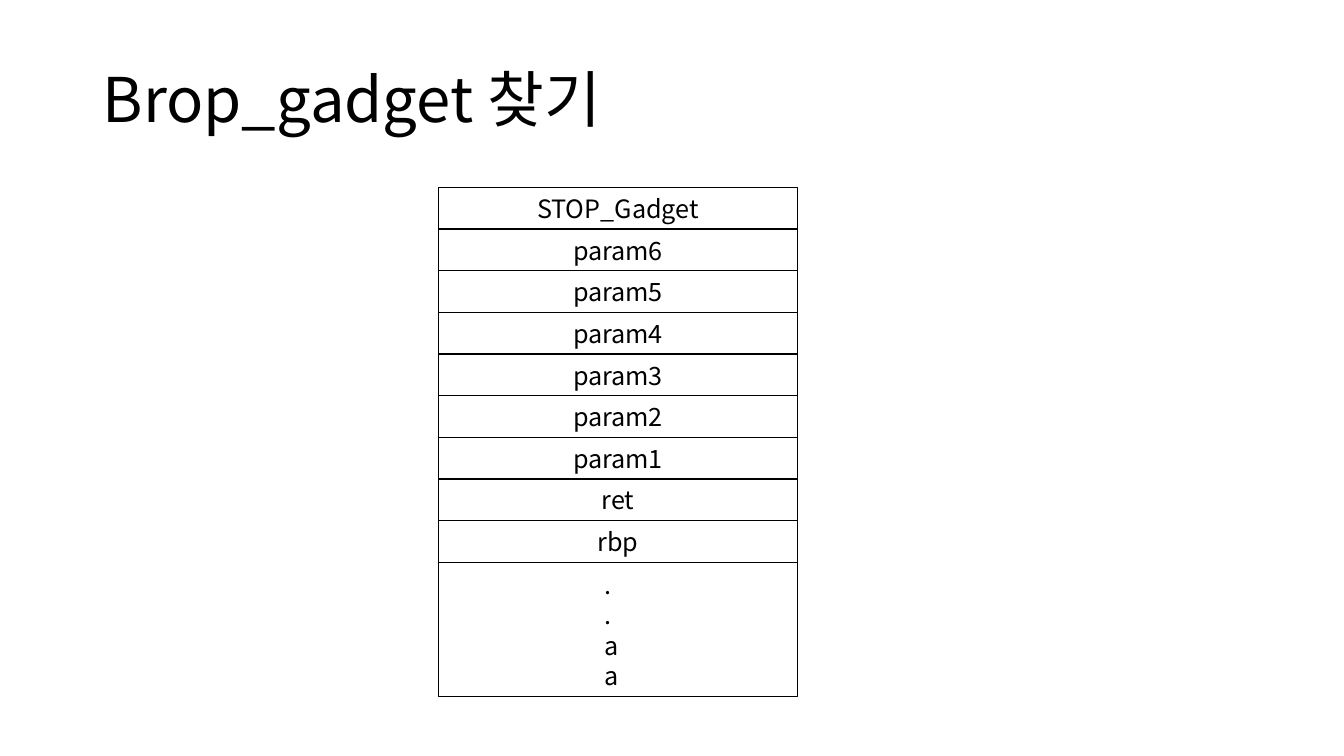
from dataclasses import dataclass

from lxml import etree
from pptx import Presentation
from pptx.dml.color import RGBColor
from pptx.enum.shapes import MSO_SHAPE
from pptx.enum.text import MSO_ANCHOR, PP_ALIGN
from pptx.oxml.ns import qn
from pptx.shapes.autoshape import Shape
from pptx.slide import Slide
from pptx.util import Inches, Pt

RECT = MSO_SHAPE.RECTANGLE
MIDDLE, TOP = MSO_ANCHOR.MIDDLE, MSO_ANCHOR.TOP
LEFT, CENTER = PP_ALIGN.LEFT, PP_ALIGN.CENTER
FONT = "Noto Sans CJK KR"
BLACK = "000000"

STACK_X, STACK_Y, STACK_W = 4.35, 1.86, 3.56
FILL_Y, FILL_H = 5.58, 1.33
LABELS = ["STOP_Gadget", *(f"param{n}" for n in range(6, 0, -1)), "ret", "rbp"]
ROW_H = (FILL_Y - STACK_Y) / len(LABELS)


@dataclass
class Cell:
    label: str
    top: float
    height: float


def color(code: str) -> RGBColor:
    return RGBColor.from_string(code)


def write(shape: Shape, lines: list[str], size: float, align: PP_ALIGN,
          anchor: MSO_ANCHOR, spacing: float = 1.0) -> None:
    frame = shape.text_frame
    frame.word_wrap = True
    frame.vertical_anchor = anchor
    for index, line in enumerate(lines):
        para = frame.add_paragraph() if index else frame.paragraphs[0]
        para.alignment = align
        para.line_spacing = spacing
        run = para.add_run()
        run.text = line
        run.font.size = Pt(size)
        run.font.color.rgb = color(BLACK)
        run.font.name = FONT
        asian = etree.SubElement(run._r.get_or_add_rPr(), qn("a:ea"))
        asian.set("typeface", FONT)


def add_text(slide: Slide, x: float, y: float, w: float, h: float) -> Shape:
    return slide.shapes.add_textbox(Inches(x), Inches(y), Inches(w), Inches(h))


def add_cell(slide: Slide, cell: Cell) -> None:
    box = slide.shapes.add_shape(RECT, Inches(STACK_X), Inches(cell.top),
                                 Inches(STACK_W), Inches(cell.height))
    box.shadow.inherit = False
    box.fill.background()
    box.line.color.rgb = color(BLACK)
    box.line.width = Pt(1)
    if cell.label:
        write(box, [cell.label], 18, CENTER, MIDDLE)


def main() -> None:
    deck = Presentation()
    deck.slide_width, deck.slide_height = Inches(13.33), Inches(7.5)
    slide = deck.slides.add_slide(deck.slide_layouts[6])

    title = add_text(slide, 0.92, 0.29, 11.5, 1.45)
    write(title, ["Brop_gadget 찾기"], 44, LEFT, MIDDLE, 0.9)

    cells = [Cell(label, STACK_Y + row * ROW_H, ROW_H)
             for row, label in enumerate(LABELS)]
    cells.append(Cell("", FILL_Y, FILL_H))
    for cell in cells:
        add_cell(slide, cell)

    filler = add_text(slide, 5.9, 5.6, 0.4, 1.2)
    write(filler, [".", ".", "a", "a"], 18, LEFT, TOP)

    deck.save("out.pptx")


if __name__ == "__main__":
    main()
